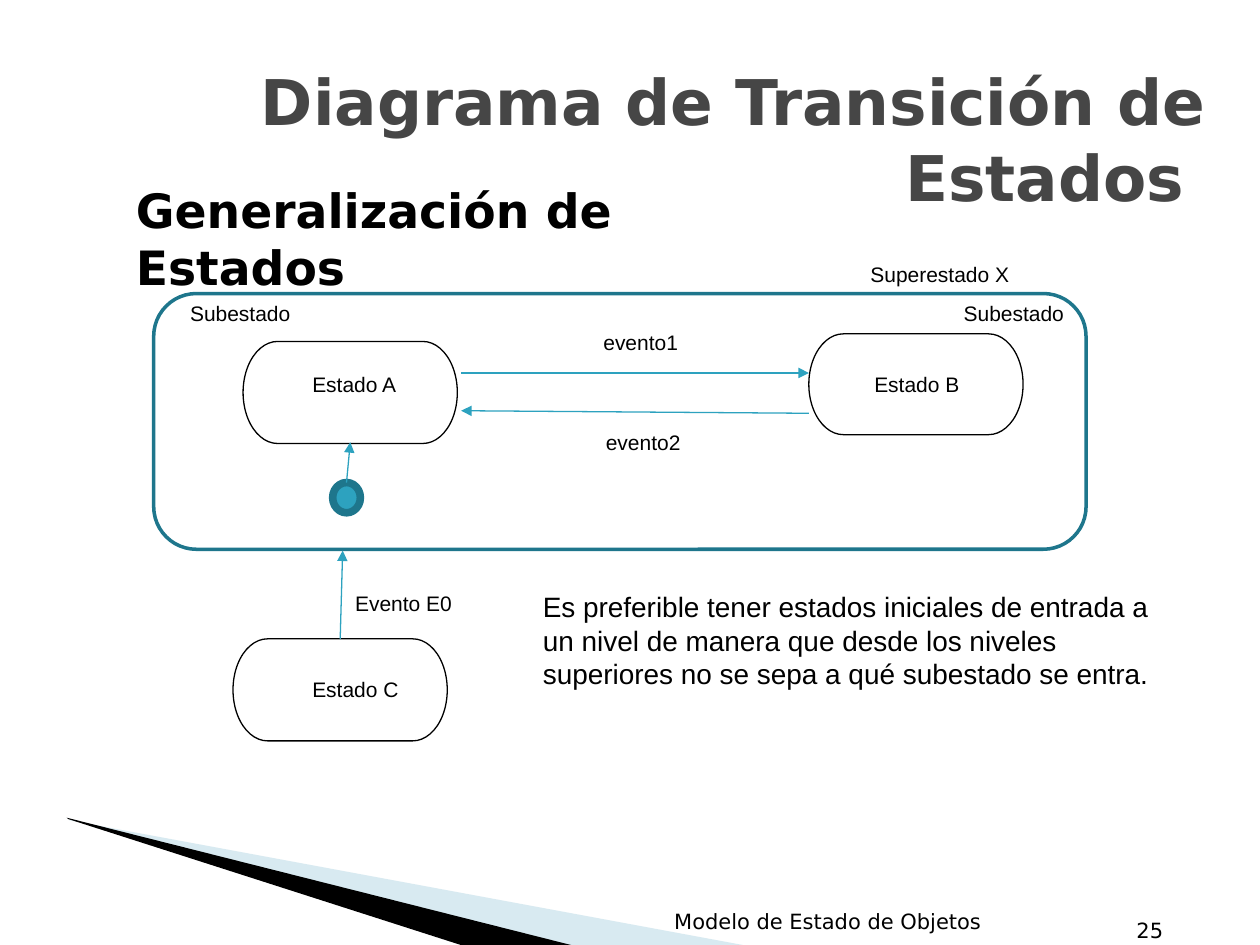
from dataclasses import dataclass

from lxml import etree
from pptx import Presentation
from pptx.dml.color import RGBColor
from pptx.enum.shapes import MSO_CONNECTOR, MSO_SHAPE
from pptx.enum.text import MSO_ANCHOR, PP_ALIGN
from pptx.oxml.ns import qn
from pptx.util import Emu, Pt

PX = 9144  # 100 px to the inch
STRAIGHT = MSO_CONNECTOR.STRAIGHT
TERMINATOR = MSO_SHAPE.FLOWCHART_TERMINATOR
ROUNDED = MSO_SHAPE.ROUNDED_RECTANGLE
OVAL = MSO_SHAPE.OVAL
TOP, MIDDLE, BOTTOM = MSO_ANCHOR.TOP, MSO_ANCHOR.MIDDLE, MSO_ANCHOR.BOTTOM
LEFT, CENTER, RIGHT = PP_ALIGN.LEFT, PP_ALIGN.CENTER, PP_ALIGN.RIGHT

BLACK, WHITE, GRAY = "000000", "FFFFFF", "464646"
TEAL, DARK_TEAL, PALE_BLUE = "2DA2BF", "1E768C", "9FCBDC"
BODY_FONT, HEADING_FONT = "Arial", "DejaVu Sans"


@dataclass
class Box:
    left: int
    top: int
    width: int
    height: int

    def emu(self) -> list[Emu]:
        return [px(n) for n in (self.left, self.top, self.width, self.height)]


@dataclass
class Label:
    text: str
    box: Box
    size: int = 12
    font: str = BODY_FONT
    color: str = BLACK
    bold: bool = False
    align: PP_ALIGN = LEFT
    anchor: MSO_ANCHOR = TOP


@dataclass
class Node:
    kind: MSO_SHAPE
    box: Box
    fill: str | None = WHITE
    line: str = BLACK
    line_width: float = 0.75
    corner: float | None = None


@dataclass
class Arrow:
    start: tuple[int, int]
    end: tuple[int, int]


@dataclass
class Wedge:
    points: list[tuple[int, int]]
    color: str
    opacity: int = 100


WEDGES = [
    Wedge([(55, 651), (595, 751), (456, 751), (55, 650)], PALE_BLUE, 40),
    Wedge([(53, 649), (457, 751), (372, 752), (54, 650)], BLACK),
]

NODES = [
    Node(TERMINATOR, Box(193, 271, 170, 81)),
    Node(TERMINATOR, Box(642, 265, 170, 80)),
    Node(TERMINATOR, Box(185, 507, 170, 81)),
    Node(ROUNDED, Box(122, 233, 740, 203), None, DARK_TEAL, 2, 0.167),
    Node(OVAL, Box(264, 383, 22, 24), TEAL, DARK_TEAL, 4.33),
]

ARROWS = [
    Arrow((270, 507), (272, 437)),
    Arrow((366, 296), (642, 296)),
    Arrow((642, 328), (366, 326)),
    Arrow((275, 383), (278, 351)),
]

LABELS = [
    Label("25", Box(676, 713, 257, 40), font=HEADING_FONT, align=RIGHT, anchor=BOTTOM),
    Label("Modelo de Estado de Objetos", Box(476, 706, 362, 40),
          font=HEADING_FONT, align=CENTER, anchor=BOTTOM),
    Label("Diagrama de Transición de Estados ", Box(67, 47, 900, 125),
          36, HEADING_FONT, GRAY, True, RIGHT, MIDDLE),
    Label("Generalización de Estados", Box(98, 139, 501, 56), 27, HEADING_FONT, bold=True),
    Label("Superestado X", Box(681, 203, 130, 30)),
    Label("Subestado", Box(141, 234, 131, 30)),
    Label("Subestado", Box(755, 234, 105, 30)),
    Label("Estado A", Box(238, 290, 128, 30)),
    Label("Estado B", Box(684, 290, 128, 30)),
    Label("Estado C", Box(238, 532, 128, 30)),
    Label("evento1", Box(469, 257, 92, 30)),
    Label("evento2", Box(471, 336, 92, 30)),
    Label("Evento E0", Box(272, 464, 106, 30)),
    Label("Es preferible tener estados iniciales de entrada a un nivel de manera que "
          "desde los niveles superiores no se sepa a qué subestado se entra.",
          Box(421, 463, 512, 91), 16),
]


def px(length: int) -> Emu:
    return Emu(length * PX)


def rgb(color: str) -> RGBColor:
    return RGBColor.from_string(color)


def draw_wedge(slide, wedge: Wedge) -> None:
    builder = slide.shapes.build_freeform(*wedge.points[0], scale=PX)
    builder.add_line_segments(wedge.points[1:], close=True)
    shape = builder.convert_to_shape()
    shape.shadow.inherit = False
    shape.line.fill.background()
    shape.fill.solid()
    shape.fill.fore_color.rgb = rgb(wedge.color)
    if wedge.opacity < 100:
        color = shape.element.spPr.find(qn("a:solidFill")).find(qn("a:srgbClr"))
        etree.SubElement(color, qn("a:alpha"), val=str(wedge.opacity * 1000))


def draw_node(slide, node: Node) -> None:
    shape = slide.shapes.add_shape(node.kind, *node.box.emu())
    shape.shadow.inherit = False
    if node.corner is not None:
        shape.adjustments[0] = node.corner
    if node.fill is None:
        shape.fill.background()
    else:
        shape.fill.solid()
        shape.fill.fore_color.rgb = rgb(node.fill)
    shape.line.color.rgb = rgb(node.line)
    shape.line.width = Pt(node.line_width)


def draw_arrow(slide, arrow: Arrow) -> None:
    ends = [px(n) for n in arrow.start + arrow.end]
    connector = slide.shapes.add_connector(STRAIGHT, *ends)
    connector.line.color.rgb = rgb(TEAL)
    connector.line.width = Pt(0.75)
    properties = connector.element.spPr
    etree.SubElement(properties.find(qn("a:ln")), qn("a:tailEnd"), type="triangle")
    etree.SubElement(properties, qn("a:effectLst"))


def draw_label(slide, label: Label) -> None:
    frame = slide.shapes.add_textbox(*label.box.emu()).text_frame
    frame.word_wrap = True
    frame.vertical_anchor = label.anchor
    paragraph = frame.paragraphs[0]
    paragraph.text = label.text
    paragraph.alignment = label.align
    paragraph.font.size = Pt(label.size)
    paragraph.font.name = label.font
    paragraph.font.bold = label.bold
    paragraph.font.color.rgb = rgb(label.color)


def main() -> None:
    presentation = Presentation()
    presentation.slide_width = px(1000)
    presentation.slide_height = px(750)
    slide = presentation.slides.add_slide(presentation.slide_layouts[6])
    for draw, items in ((draw_wedge, WEDGES), (draw_node, NODES),
                        (draw_arrow, ARROWS), (draw_label, LABELS)):
        for item in items:
            draw(slide, item)
    presentation.save("out.pptx")


if __name__ == "__main__":
    main()
